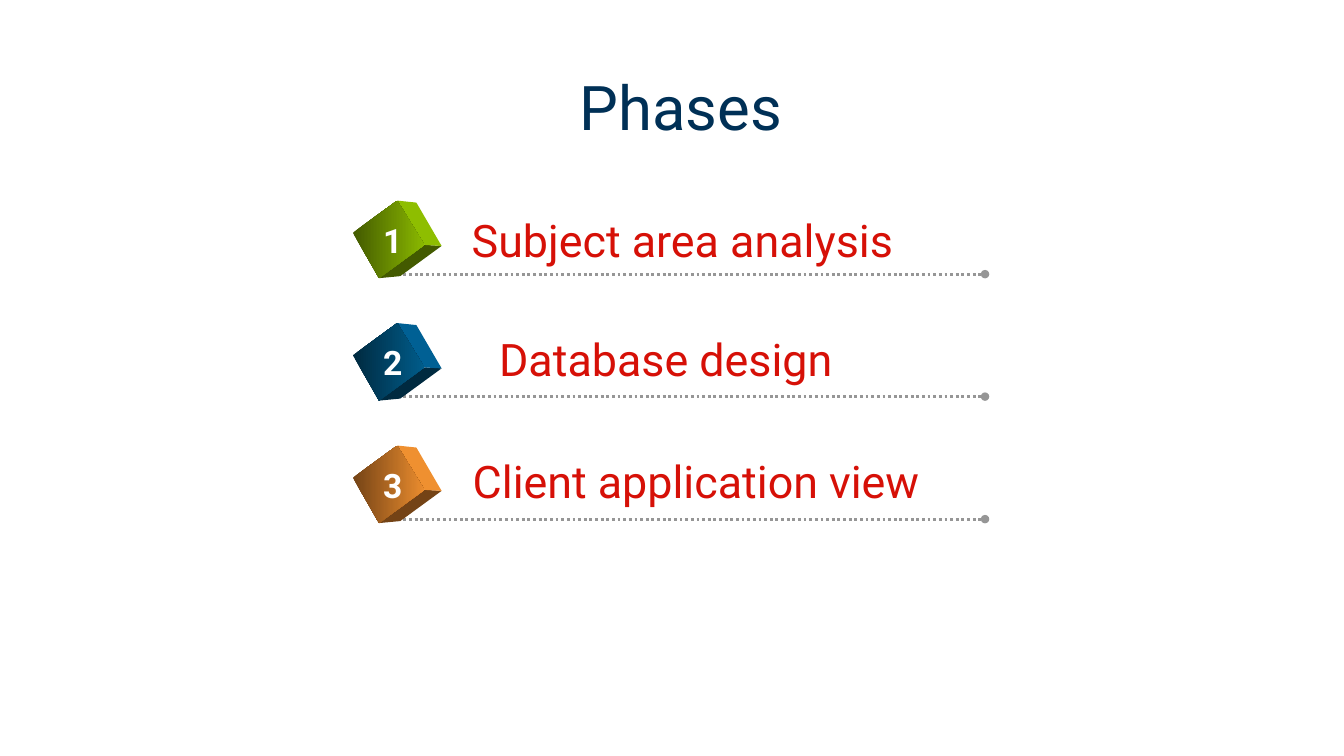
from lxml import etree
from pptx import Presentation, util as u
from pptx.dml.color import RGBColor
from pptx.enum import dml, shapes, text
from pptx.oxml.ns import qn

FONT = "Roboto"
LEFT, MID = text.PP_ALIGN.LEFT, text.PP_ALIGN.CENTER
TITLE = "Phases"
# label, label box (left, top, width), alignment, cube shades (dark, front, side)
PHASES = [
    ("Subject area analysis", (4.58, 2.06, 4.51), LEFT, ("435A00", "8AB800", "8EBE00")),
    ("Database design", (4.03, 3.24, 5.15), MID, ("002A40", "005C8A", "006094")),
    ("Client application view", (4.59, 4.45, 4.71), LEFT, ("744316", "EA8C2E", "EF9030")),
]
ROW, STEP = 1.99, 1.215  # top of the first cube, gap between rows
# cube corners, measured from the top of the row
A, B, C, D = (3.5, 0.32), (3.94, 0), (4.21, 0.44), (3.76, 0.77)
E, F, G = (4.13, 0.02), (4.38, 0.45), (3.97, 0.75)
FRONT, SIDE, BASE = (A, B, C, D), (B, E, F, C), (D, C, F, G)


def rgb(code):
    return RGBColor.from_string(code)


def write(shape, words, size, color, align, bold=False):
    para = shape.text_frame.paragraphs[0]
    para.text = words
    para.alignment = align
    font = para.font
    font.name, font.size, font.bold = FONT, u.Pt(size), bold
    font.color.rgb = rgb(color)


def label(group, words, box, size, color, align, bold=False):
    shape = group.shapes.add_textbox(*map(u.Inches, box))
    shape.text_frame.word_wrap = True
    write(shape, words, size, color, align, bold)


def face(group, points, top, colors):
    """Draw one cube face, shaded left to right when two colours are given."""
    spots = [(u.Inches(x), u.Inches(top + y)) for x, y in points]
    pen = group.shapes.build_freeform(*spots[0])
    pen.add_line_segments(spots[1:], close=True)
    shape = pen.convert_to_shape()
    shape.shadow.inherit = False
    shape.line.fill.background()
    if len(colors) == 1:
        shape.fill.solid()
        shape.fill.fore_color.rgb = rgb(colors[0])
        return
    shape.fill.gradient()
    shape.fill.gradient_angle = 0
    for stop, color in zip(shape.fill.gradient_stops, colors):
        stop.color.rgb = rgb(color)


def rule(group, y):
    """Draw the dotted line with a round end."""
    line = group.shapes.add_connector(
        shapes.MSO_CONNECTOR.STRAIGHT, *map(u.Inches, (3.89, y, 9.77, y)))
    line.line.color.rgb = rgb("969696")
    line.line.width = u.Pt(2)
    line.line.dash_style = dml.MSO_LINE.ROUND_DOT
    props = line._element.spPr
    etree.SubElement(props.find(qn("a:ln")), qn("a:tailEnd"), type="oval")
    etree.SubElement(props, qn("a:effectLst"))


def main():
    deck = Presentation()
    deck.slide_width, deck.slide_height = u.Inches(13.33), u.Inches(7.5)
    slide = deck.slides.add_slide(deck.slide_layouts[5])

    title = slide.shapes.title
    title.left, title.top, title.width, title.height = map(
        u.Inches, (5.65, 0.52, 2.32, 1.16))
    title.text_frame.vertical_anchor = text.MSO_ANCHOR.MIDDLE
    write(title, TITLE, 44, "003056", LEFT)
    title.text_frame.paragraphs[0].line_spacing = 0.9

    for i, (words, box, align, (dark, front, side)) in enumerate(PHASES):
        top = ROW + i * STEP
        group = slide.shapes.add_group_shape()
        rule(group, top + 0.73)
        face(group, BASE, top, [dark])
        face(group, SIDE, top, [side])
        face(group, FRONT, top, [dark, front])
        label(group, words, (*box, 0.64), 32, "D61007", align)
        label(group, str(i + 1), (3.7, top + 0.14, 0.39, 0.5), 24, "FFFFFF", MID, True)

    deck.save("out.pptx")


if __name__ == "__main__":
    main()
